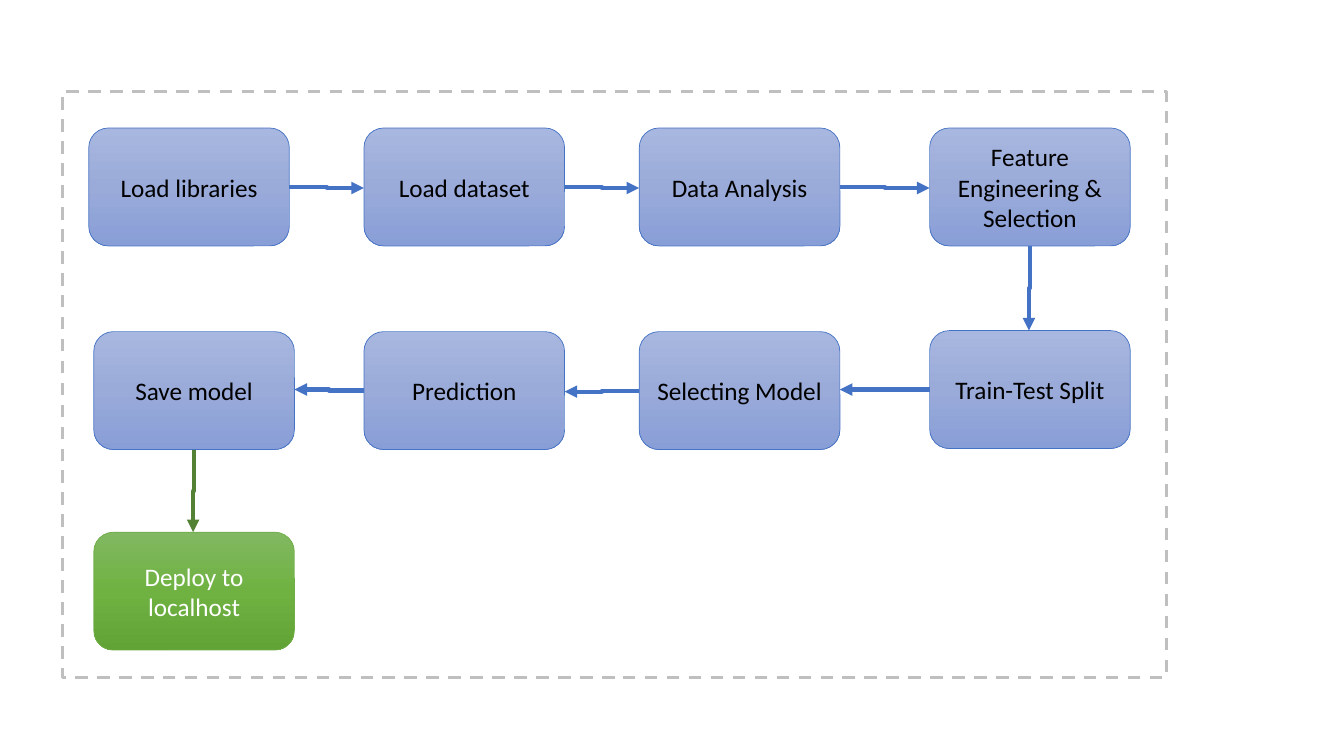
from copy import deepcopy
from lxml.etree import SubElement as Sub
from pptx import Presentation
from pptx.dml.color import RGBColor as Rgb
from pptx.enum.dml import MSO_LINE
from pptx.enum.shapes import MSO_CONNECTOR as Link, MSO_SHAPE as Shape
from pptx.enum.text import MSO_ANCHOR, PP_ALIGN
from pptx.oxml.ns import qn
from pptx.util import Inches as In, Pt

HUES = {
    "white": "FFFFFF", "black": "000000", "grey": "BFBFBF",
    "blue": "4472C4", "green": "70AD47", "moss": "548235",
}
FADES = {
    "blue": ("A8B7DF", "9AABD9", "889ED7"),
    "green": ("81B861", "6FB242", "62A336"),
}
WIDE, HIGH = 13.33, 7.5
PANEL = (0.62, 0.91, 10.95, 5.81)
CARD = (1.99, 1.17)
PITCH = 2.73
COLS = [0.26 + PITCH * n for n in range(3)] + [8.6]
ROWS = (0.36, 2.38, 4.37)
STEPS = [
    ("Load libraries", 0, 0, 0, 0),
    ("Load dataset", 1, 0, 0, 0),
    ("Data Analysis", 2, 0, 0, 0),
    ("Feature Engineering & Selection", 3, 0, 0, 0),
    ("Train-Test Split", 3, 1, 0, -0.01),
    ("Selecting Model", 2, 1, 0, 0),
    ("Prediction", 1, 1, 0, 0),
    ("Save model", 0, 1, 0.05, 0),
    ("Deploy to localhost", 0, 2, 0.05, 0),
]
DRIFTS = (0.01, 0.01, 0.01, -0.01, 0, 0.01, -0.01, -0.01)


def hue(name):
    """Turn a colour name or hex string into a colour."""
    return Rgb.from_string(HUES.get(name, name))


def dress(item, form):
    """Set each attribute in a dict of format values."""
    for key, value in form.items():
        setattr(item, key, value)


def edge(shape, name, width):
    """Give an outline its colour and width in points."""
    shape.line.color.rgb = hue(name)
    shape.line.width = Pt(width)


def fade(shape, tints):
    """Fill a shape with three tints from top to bottom."""
    shape.fill.gradient()
    shape.fill.gradient_angle = 270
    first = shape._element.spPr.find(".//" + qn("a:gs"))
    first.addnext(deepcopy(first))
    for n, (stop, tint) in enumerate(zip(shape.fill.gradient_stops, tints)):
        stop.color.rgb = hue(tint)
        stop.position = n / 2


def frame(group, box):
    """Draw the dashed panel in its box."""
    rect = group.shapes.add_shape(Shape.RECTANGLE, *map(In, box))
    rect.shadow.inherit = False
    rect.fill.solid()
    rect.fill.fore_color.rgb = hue("white")
    edge(rect, "grey", 2.25)
    rect.line.dash_style = MSO_LINE.DASH


def card(group, box, text, tone, ink):
    """Draw one step as a rounded card with centred text."""
    shape = group.shapes.add_shape(Shape.ROUNDED_RECTANGLE, *map(In, box))
    shape.shadow.inherit = False
    fade(shape, FADES[tone])
    edge(shape, tone, 0.5)
    dress(shape.text_frame, {
        "text": text, "word_wrap": True, "vertical_anchor": MSO_ANCHOR.MIDDLE})
    para = shape.text_frame.paragraphs[0]
    para.alignment = PP_ALIGN.CENTER
    dress(para.runs[0].font, {"name": "Calibri", "size": Pt(18)})
    para.runs[0].font.color.rgb = hue(ink)


def arrow(group, start, end, drift, tone):
    """Join two card boxes with an elbow arrow that drifts sideways."""
    (x, y, w, h), (u, v, _, _) = start, end
    down = v - y > h
    if down:
        mid, half = x + w / 2 + drift / 2, (v - y - h) / 2
        centre = (y + h + v) / 2
        ends = (mid - half, centre + drift / 2, mid + half, centre - drift / 2)
    else:
        level = y + h / 2
        ends = (x + w, level, u, level + drift) if u > x else (
            x, level, u + w, level + drift)
    line = group.shapes.add_connector(Link.ELBOW, *map(In, ends))
    edge(line, tone, 3)
    props = line._element.spPr
    if down:
        props.find(qn("a:xfrm")).set("rot", "5400000")
    Sub(props.find(qn("a:ln")), qn("a:tailEnd"), type="triangle")
    Sub(props, qn("a:effectLst"))


def flow(slide, box):
    """Lay out the panel, its steps and their arrows."""
    group = slide.shapes.add_group_shape()
    frame(group, box)
    left, top = box[:2]
    spots = [(left + COLS[c] + dx, top + ROWS[r] + dy, *CARD)
             for _, c, r, dx, dy in STEPS]
    last = len(STEPS) - 1
    for n, (spot, step) in enumerate(zip(spots, STEPS)):
        look = ("green", "white") if n == last else ("blue", "black")
        card(group, spot, step[0], *look)
    for n, (start, end, drift) in enumerate(zip(spots, spots[1:], DRIFTS), 1):
        arrow(group, start, end, drift, "moss" if n == last else "blue")


deck = Presentation()
dress(deck, {"slide_width": In(WIDE), "slide_height": In(HIGH)})
flow(deck.slides.add_slide(deck.slide_layouts[6]), PANEL)
deck.save("out.pptx")
